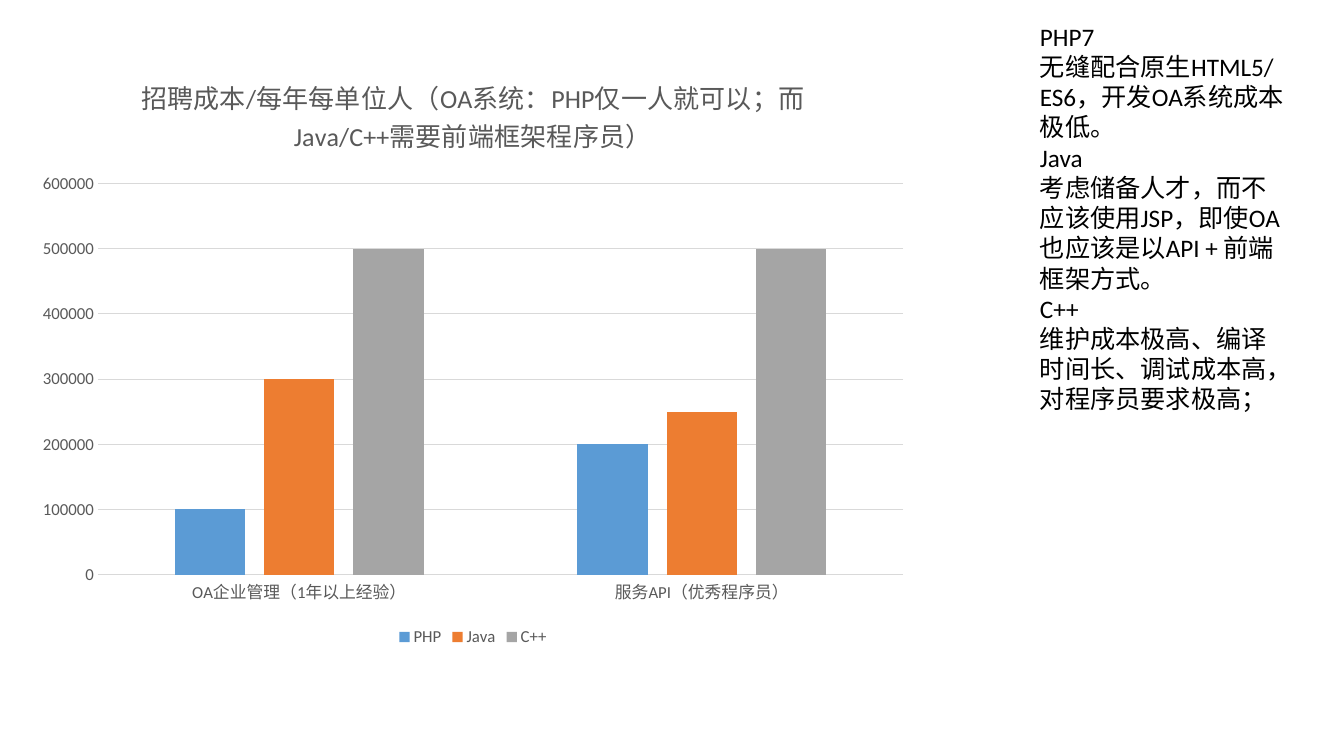
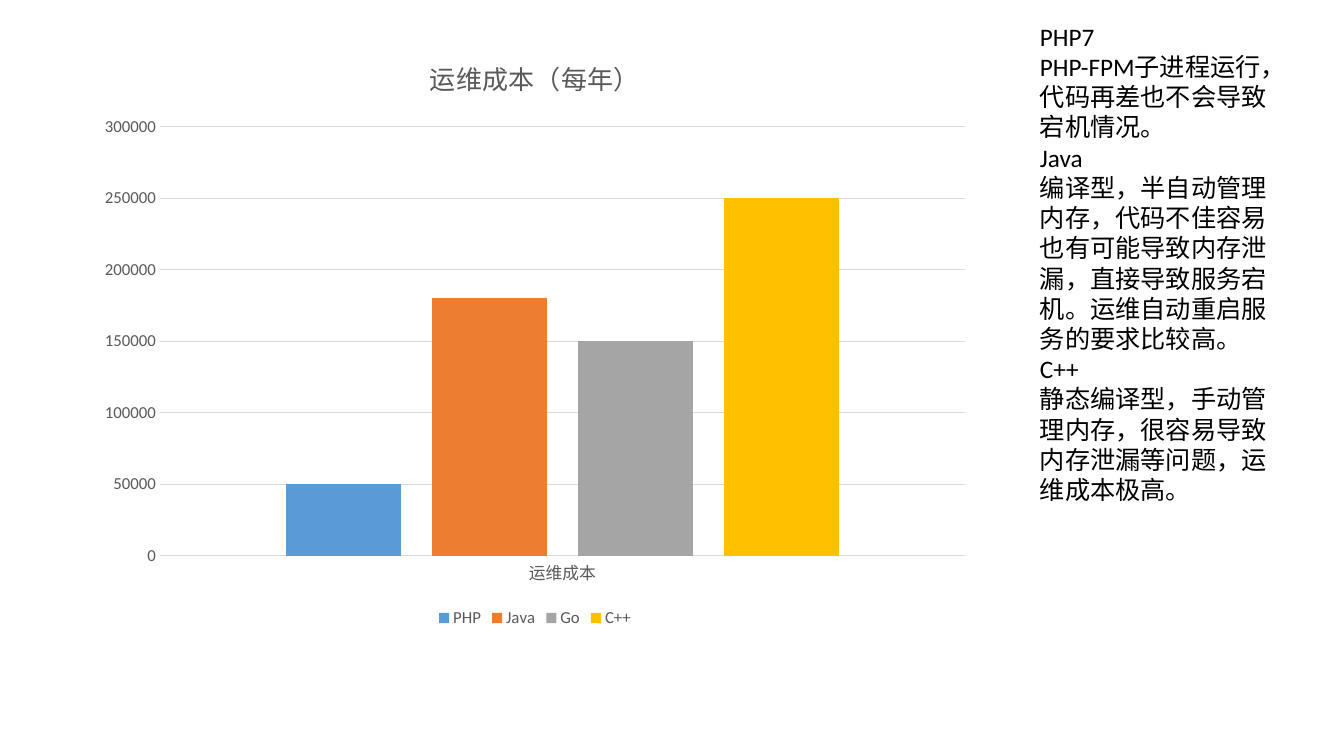
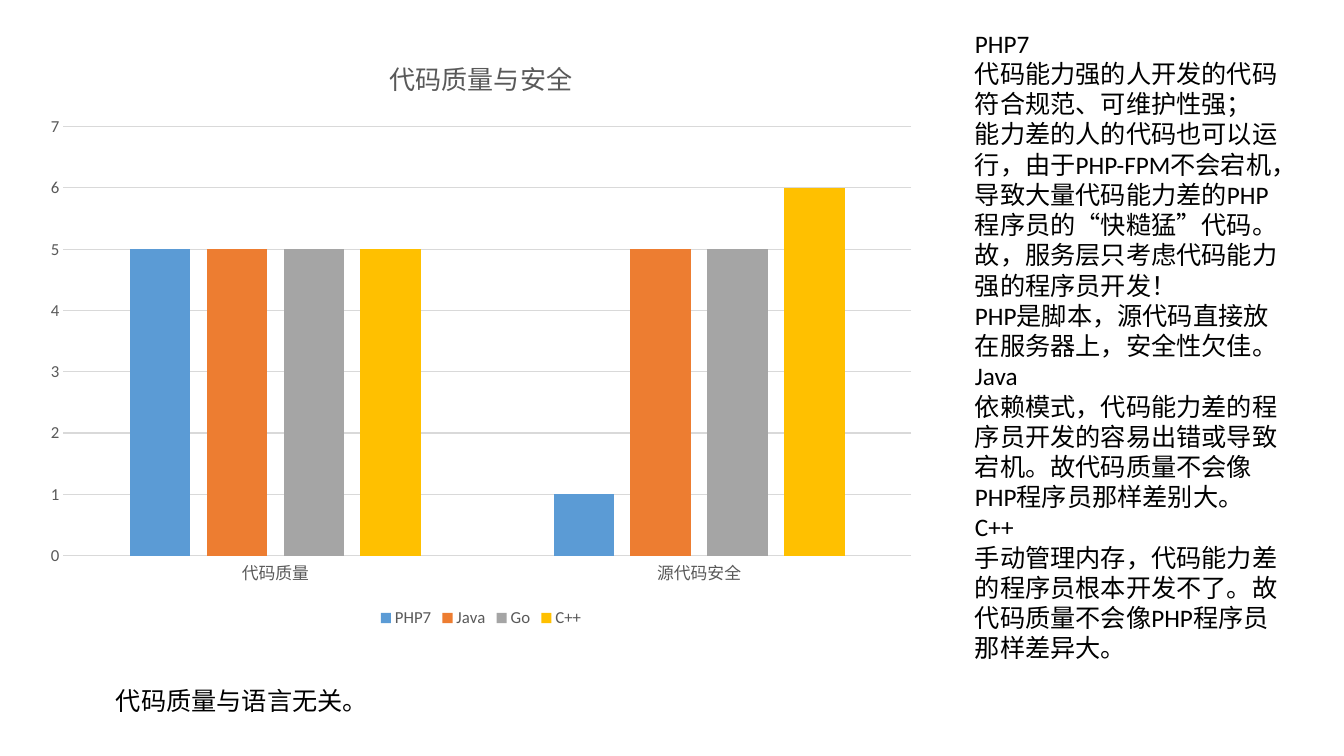
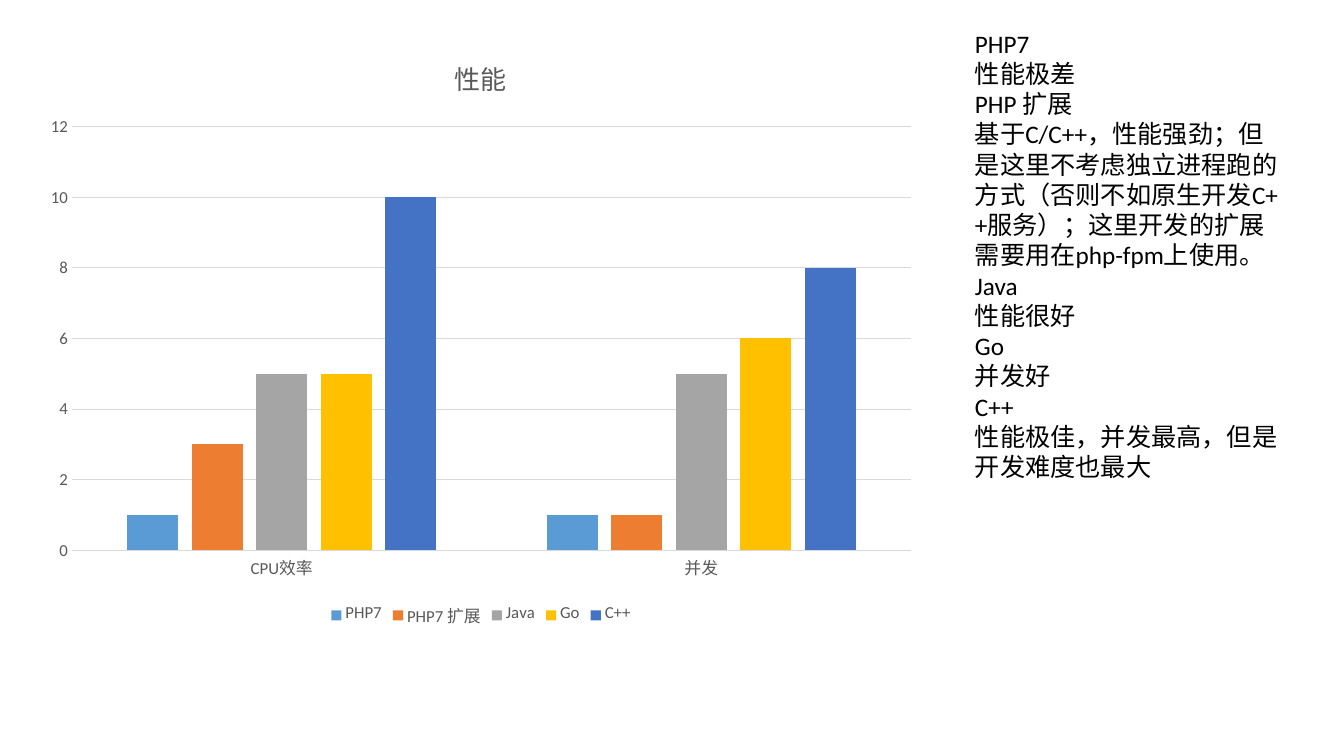
"""Build four slides that compare the costs and merits of programming languages."""
from dataclasses import dataclass
from typing import Any

from pptx import Presentation
from pptx.chart.data import CategoryChartData
from pptx.dml.color import RGBColor
from pptx.enum.chart import XL_CHART_TYPE, XL_LEGEND_POSITION, XL_TICK_MARK
from pptx.enum.lang import MSO_LANGUAGE_ID
from pptx.enum.text import MSO_AUTO_SIZE
from pptx.util import Emu, Pt

COLUMN = XL_CHART_TYPE.COLUMN_CLUSTERED
BOTTOM = XL_LEGEND_POSITION.BOTTOM
NO_TICK = XL_TICK_MARK.NONE
GROW = MSO_AUTO_SIZE.SHAPE_TO_FIT_TEXT
CHINESE = MSO_LANGUAGE_ID.SIMPLIFIED_CHINESE

SCALE = 914400 / 100.8
WIDE, HIGH = 1344, 756
CHART_WIDE, CHART_HIGH = 896, 598

BLACK = RGBColor(0x00, 0x00, 0x00)
GREY = RGBColor(0x59, 0x59, 0x59)
PALE = RGBColor(0xD9, 0xD9, 0xD9)
FILLS = (
    RGBColor(0x5B, 0x9B, 0xD5),
    RGBColor(0xED, 0x7D, 0x31),
    RGBColor(0xA5, 0xA5, 0xA5),
    RGBColor(0xFF, 0xC0, 0x00),
    RGBColor(0x44, 0x72, 0xC4),
)

BASE = {"name": "Calibri", "bold": False}
BODY = {**BASE, "size": Pt(18), "language_id": CHINESE}
PLAIN = {**BASE, "size": Pt(10)}
LABEL = {**BASE, "size": Pt(12)}
TITLE = {**BASE, "size": Pt(18.6), "language_id": CHINESE}
PLOT = {"gap_width": 219, "overlap": -27, "vary_by_categories": False}
AXIS = {"major_tick_mark": NO_TICK, "minor_tick_mark": NO_TICK}
LEGEND = {"position": BOTTOM, "include_in_layout": False}
FRAME = {"word_wrap": True, "auto_size": GROW}


@dataclass(frozen=True)
class Note:
    """A block of text and its box in pixels."""

    left: int
    top: int
    width: int
    height: int
    lines: tuple[str, ...]


@dataclass(frozen=True)
class Graph:
    """A column chart and its top left corner in pixels."""

    left: int
    top: int
    title: str
    groups: tuple[str, ...]
    series: dict[str, tuple[int, ...]]


@dataclass(frozen=True)
class Page:
    """One slide: a chart and its notes."""

    graph: Graph
    notes: tuple[Note, ...]


def px(count: int) -> Emu:
    """Turn pixels into EMU."""
    return Emu(round(count * SCALE))


def put(item: Any, form: dict[str, Any]) -> None:
    """Set each format value on the item."""
    for name, value in form.items():
        setattr(item, name, value)


def style(font: Any, form: dict[str, Any], color: RGBColor) -> None:
    """Format a font and colour it."""
    put(font, form)
    font.color.rgb = color


def rule(line: Any) -> None:
    """Make a line thin and pale."""
    line.width = Pt(0.75)
    line.color.rgb = PALE


def add_note(slide: Any, note: Note) -> None:
    """Draw a text box with one paragraph a line."""
    box = slide.shapes.add_textbox(
        px(note.left), px(note.top), px(note.width), px(note.height))
    frame = box.text_frame
    put(frame, FRAME)
    frame.text = "\n".join(note.lines)
    for para in frame.paragraphs:
        for run in para.runs:
            style(run.font, BODY, BLACK)


def add_graph(slide: Any, graph: Graph) -> None:
    """Draw a column chart with a title and a legend."""
    data = CategoryChartData()
    data.categories = graph.groups
    for name, values in graph.series.items():
        data.add_series(name, values)
    chart = slide.shapes.add_chart(
        COLUMN, px(graph.left), px(graph.top),
        px(CHART_WIDE), px(CHART_HIGH), data).chart
    style(chart.font, PLAIN, BLACK)

    chart.has_title = True
    chart.chart_title.include_in_layout = False
    frame = chart.chart_title.text_frame
    frame.text = graph.title
    style(frame.paragraphs[0].runs[0].font, TITLE, GREY)

    chart.has_legend = True
    put(chart.legend, LEGEND)
    style(chart.legend.font, LABEL, GREY)

    for axis in (chart.category_axis, chart.value_axis):
        put(axis, AXIS)
        style(axis.tick_labels.font, LABEL, GREY)
    rule(chart.category_axis.format.line)
    chart.value_axis.format.line.fill.background()
    rule(chart.value_axis.major_gridlines.format.line)

    plot = chart.plots[0]
    put(plot, PLOT)
    for bar, color in zip(plot.series, FILLS):
        bar.format.fill.solid()
        bar.format.fill.fore_color.rgb = color
        bar.invert_if_negative = False


PAGES = (
    Page(
        Graph(25, 53,
              "招聘成本/每年每单位人（OA系统：PHP仅一人就可以；而Java/C++需要前端框架程序员）",
              ("OA企业管理（1年以上经验）", "服务API（优秀程序员）"),
              {"PHP": (100000, 200000),
               "Java": (300000, 250000),
               "C++": (500000, 500000)}),
        (Note(1030, 16, 266, 499, (
            "PHP7",
            "无缝配合原生HTML5/ES6，开发OA系统成本极低。",
            "Java",
            "考虑储备人才，而不应该使用JSP，即使OA也应该是以API + 前端框架方式。",
            "C++",
            "维护成本极高、编译时间长、调试成本高，对程序员要求极高；",
        )),),
    ),
    Page(
        Graph(87, 34, "运维成本（每年）", ("运维成本",),
              {"PHP": (50000,),
               "Java": (180000,),
               "Go": (150000,),
               "C++": (250000,)}),
        (Note(1030, 16, 266, 591, (
            "PHP7",
            "PHP-FPM子进程运行，代码再差也不会导致宕机情况。",
            "Java",
            "编译型，半自动管理内存，代码不佳容易也有可能导致内存泄漏，"
            "直接导致服务宕机。运维自动重启服务的要求比较高。",
            "C++",
            "静态编译型，手动管理内存，很容易导致内存泄漏等问题，运维成本极高。",
        )),),
    ),
    Page(
        Graph(33, 34, "代码质量与安全", ("代码质量", "源代码安全"),
              {"PHP7": (5, 1),
               "Java": (5, 5),
               "Go": (5, 5),
               "C++": (5, 6)}),
        (Note(965, 23, 333, 733, (
            "PHP7",
            "代码能力强的人开发的代码符合规范、可维护性强；",
            "能力差的人的代码也可以运行，由于PHP-FPM不会宕机，"
            "导致大量代码能力差的PHP程序员的“快糙猛”代码。",
            "故，服务层只考虑代码能力强的程序员开发！",
            "PHP是脚本，源代码直接放在服务器上，安全性欠佳。",
            "Java",
            "依赖模式，代码能力差的程序员开发的容易出错或导致宕机。"
            "故代码质量不会像PHP程序员那样差别大。",
            "C++",
            "手动管理内存，代码能力差的程序员根本开发不了。"
            "故代码质量不会像PHP程序员那样差异大。",
        )),
         Note(106, 680, 316, 40, ("代码质量与语言无关。",))),
    ),
    Page(
        Graph(33, 34, "性能", ("CPU效率", "并发"),
              {"PHP7": (1, 1),
               "PHP7 扩展": (3, 1),
               "Java": (5, 5),
               "Go": (5, 6),
               "C++": (10, 8)}),
        (Note(965, 23, 333, 499, (
            "PHP7",
            "性能极差",
            "PHP 扩展",
            "基于C/C++，性能强劲；但是这里不考虑独立进程跑的方式"
            "（否则不如原生开发C++服务）；这里开发的扩展需要用在php-fpm上使用。",
            "Java",
            "性能很好",
            "Go",
            "并发好",
            "C++",
            "性能极佳，并发最高，但是开发难度也最大",
        )),),
    ),
)


def main() -> None:
    """Build and save the slides."""
    deck = Presentation()
    put(deck, {"slide_width": px(WIDE), "slide_height": px(HIGH)})
    blank = deck.slide_layouts.get_by_name("Blank")
    for page in PAGES:
        slide = deck.slides.add_slide(blank)
        add_graph(slide, page.graph)
        for note in page.notes:
            add_note(slide, note)
    deck.save("out.pptx")


main()
